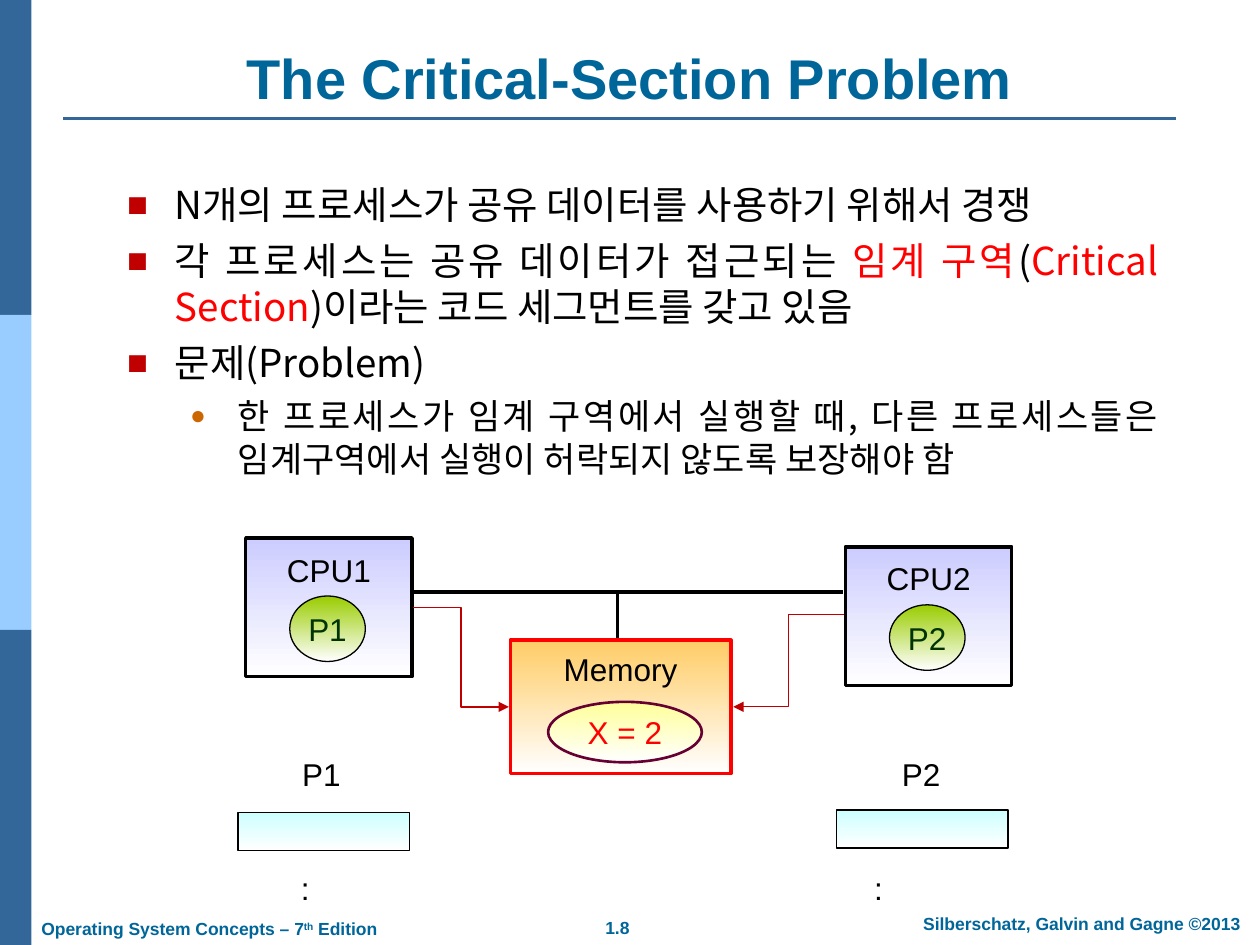
from lxml.etree import SubElement
from pptx import Presentation
from pptx.dml.color import RGBColor
from pptx.enum.shapes import MSO_CONNECTOR, MSO_SHAPE
from pptx.enum.text import MSO_ANCHOR, PP_ALIGN
from pptx.oxml.ns import qn
from pptx.util import Inches, Pt

BLACK = RGBColor(0x00, 0x00, 0x00)
WHITE = RGBColor(0xFF, 0xFF, 0xFF)
RED = RGBColor(0xFF, 0x00, 0x00)
DARK_RED = RGBColor(0xC0, 0x00, 0x00)
ORANGE = RGBColor(0xCC, 0x66, 0x00)
AMBER = RGBColor(0xFF, 0xCC, 0x66)
YELLOW = RGBColor(0xFF, 0xFF, 0x99)
PLUM = RGBColor(0x66, 0x00, 0x33)
LIME = RGBColor(0x99, 0xCC, 0x00)
DARK_GREEN = RGBColor(0x00, 0x33, 0x00)
LAVENDER = RGBColor(0xCC, 0xCC, 0xFF)
PALE_CYAN = RGBColor(0xCC, 0xFF, 0xFF)
TEAL = RGBColor(0x00, 0x66, 0x99)
STEEL = RGBColor(0x33, 0x66, 0x99)
SKY = RGBColor(0x99, 0xCC, 0xFF)


def add_node(kind, place, top_color, outline, width, text="", color=BLACK, top_inset=None):
    """Add a shape that fades to white; a top inset pins its label to the top."""
    node = page.shapes.add_shape(kind, *map(Inches, place))
    node.shadow.inherit = False
    node.fill.gradient()
    node.fill.gradient_angle = 270
    for stop, stop_color, position in zip(node.fill.gradient_stops, (top_color, WHITE), (0, 1)):
        stop.color.rgb = stop_color
        stop.position = position
    node.line.color.rgb = outline
    node.line.width = Pt(width)
    if text:
        frame = node.text_frame
        frame.word_wrap = False
        frame.vertical_anchor = MSO_ANCHOR.MIDDLE
        if top_inset is not None:
            frame.vertical_anchor = MSO_ANCHOR.TOP
            frame.margin_top = Inches(top_inset)
        para = frame.paragraphs[0]
        para.text = text
        para.alignment = PP_ALIGN.CENTER
        para.font.name = "Arial"
        para.font.size = Pt(18)
        para.font.color.rgb = color


def add_line(kind, ends, color, width, arrow=False):
    line = page.shapes.add_connector(kind, *map(Inches, ends))
    line.line.color.rgb = color
    line.line.width = Pt(width)
    properties = line._element.spPr
    if arrow:
        SubElement(properties.find(qn("a:ln")), qn("a:tailEnd"), type="triangle")
    SubElement(properties, qn("a:effectLst"))


deck = Presentation()
deck.slide_width = Inches(10)
deck.slide_height = Inches(7.5)
page = deck.slides.add_slide(deck.slide_layouts[5])

# Side bar and title rule
for index, color in enumerate((STEEL, SKY, STEEL)):
    band = page.shapes.add_shape(
        MSO_SHAPE.RECTANGLE, 0, Inches(2.5 * index), Inches(0.25), Inches(2.5))
    band.shadow.inherit = False
    band.fill.solid()
    band.fill.fore_color.rgb = color
    band.line.fill.background()
add_line(MSO_CONNECTOR.STRAIGHT, (0.5, 0.94, 9.33, 0.94), STEEL, 1.5)

# Title
title = page.shapes.title
title.left, title.top, title.width, title.height = map(Inches, (0.5, 0.3, 9, 0.63))
title.text_frame.vertical_anchor = MSO_ANCHOR.BOTTOM
para = title.text_frame.paragraphs[0]
para.text = "The Critical-Section Problem"
para.alignment = PP_ALIGN.CENTER
para.font.name = "Arial"
para.font.size = Pt(32)
para.font.bold = True
para.font.color.rgb = TEAL

# Footer: place, alignment, (text, baseline) spans
footers = [
    ((4.41, 7.23, 0.98, 0.27), PP_ALIGN.CENTER, [("1.8", 0)]),
    ((7.1, 7.2, 2.97, 0.27), PP_ALIGN.CENTER, [("Silberschatz, Galvin and Gagne ©2013", 0)]),
    ((0.23, 7.24, 3.2, 0.27), PP_ALIGN.LEFT,
     [("Operating System Concepts – 7", 0), ("th", 30000), (" Edition", 0)]),
]
for place, alignment, spans in footers:
    box = page.shapes.add_textbox(*map(Inches, place))
    box.text_frame.word_wrap = True
    para = box.text_frame.paragraphs[0]
    para.alignment = alignment
    para.font.name = "Arial"
    para.font.size = Pt(10)
    para.font.bold = True
    para.font.color.rgb = TEAL
    for text, baseline in spans:
        span = para.add_run()
        span.text = text
        if baseline:
            span.font._element.set("baseline", str(baseline))

# Bullets: level, (text, color) spans
bullets = [
    (0, [("N개의 프로세스가 공유 데이터를 사용하기 위해서 경쟁", BLACK)]),
    (0, [("각 프로세스는 공유 데이터가 접근되는 ", BLACK), ("임계 구역", RED), ("(", BLACK),
         ("Critical Section", RED), (")이라는 코드 세그먼트를 갖고 있음", BLACK)]),
    (0, [("문제(Problem)", BLACK)]),
    (1, [("한 프로세스가 임계 구역에서 실행할 때, 다른 프로세스들은 "
          "임계구역에서 실행이 허락되지 않도록 보장해야 함", BLACK)]),
]
# Per level: mark, mark color, mark percent, left margin, size, space before, line pitch
levels = [("■", DARK_RED, 90, 0.38, 22, 5.5, 26.4), ("●", ORANGE, 75, 0.88, 20, 5, 24.4)]
body = page.shapes.add_textbox(*map(Inches, (0.91, 1.39, 8.38, 5.44))).text_frame
body.word_wrap = True
for index, (level, spans) in enumerate(bullets):
    mark, mark_color, percent, margin, size, before, pitch = levels[level]
    para = body.add_paragraph() if index else body.paragraphs[0]
    para.level = level
    para.alignment = PP_ALIGN.JUSTIFY
    para.line_spacing = Pt(pitch)
    if index:
        para.space_before = Pt(before)
    properties = para._p.get_or_add_pPr()
    properties.set("marL", str(Inches(margin)))
    properties.set("indent", str(Inches(-0.38)))
    SubElement(SubElement(properties, qn("a:buClr")), qn("a:srgbClr"), val=str(mark_color))
    SubElement(properties, qn("a:buSzPct"), val=str(percent * 1000))
    SubElement(properties, qn("a:buFont"), typeface="Arial")
    SubElement(properties, qn("a:buChar"), char=mark)
    para.font.size = Pt(size)
    para.font.name = "Noto Sans CJK KR"
    SubElement(properties.find(qn("a:defRPr")), qn("a:ea"), typeface="Noto Sans CJK KR")
    for text, color in spans:
        span = para.add_run()
        span.text = text
        span.font.color.rgb = color

# Process listings: left edge, (text, indent) lines
for left, lines in ((1.88, [("P1", 0.42), (":", 0.41)]), (5.71, [("P2", 1.35), (":", 1.13)])):
    listing = page.shapes.add_textbox(*map(Inches, (left, 5.94, 2.42, 1.32))).text_frame
    listing.word_wrap = True
    for index, (text, indent) in enumerate(lines):
        para = listing.add_paragraph() if index else listing.paragraphs[0]
        para.text = text
        para._p.get_or_add_pPr().set("marL", str(Inches(indent)))
        if index:
            para.space_before = Pt(44)
        para.font.name = "Arial"
        para.font.size = Pt(18)
        para.font.color.rgb = BLACK

# Memory and the two processors
add_node(MSO_SHAPE.RECTANGLE, (4.05, 5.08, 1.75, 1.06), AMBER, RED, 2, "Memory", top_inset=0.08)
add_node(MSO_SHAPE.OVAL, (4.35, 5.57, 1.22, 0.48), YELLOW, PLUM, 1.5, "X = 2", RED)
for number, left, top, code_left, code_top in ((1, 1.95, 4.27, 1.89, 6.45),
                                              (2, 6.71, 4.34, 6.64, 6.43)):
    add_node(MSO_SHAPE.RECTANGLE, (left, top, 1.32, 1.1), LAVENDER, BLACK, 2,
             f"CPU{number}", top_inset=0.1)
    add_node(MSO_SHAPE.OVAL, (left + 0.35, top + 0.46, 0.6, 0.52), LIME, BLACK, 0.75,
             f"P{number}", DARK_GREEN)
    add_node(MSO_SHAPE.RECTANGLE, (code_left, code_top, 1.36, 0.3), PALE_CYAN, BLACK, 0.75)

# Bus and access arrows
for ends in ((3.26, 4.7, 6.69, 4.7), (4.9, 4.7, 4.9, 5.06)):
    add_line(MSO_CONNECTOR.STRAIGHT, ends, BLACK, 2)
for ends in ((3.28, 4.82, 4.04, 5.61), (6.7, 4.88, 5.82, 5.61)):
    add_line(MSO_CONNECTOR.ELBOW, ends, DARK_RED, 0.75, arrow=True)

deck.save("out.pptx")
